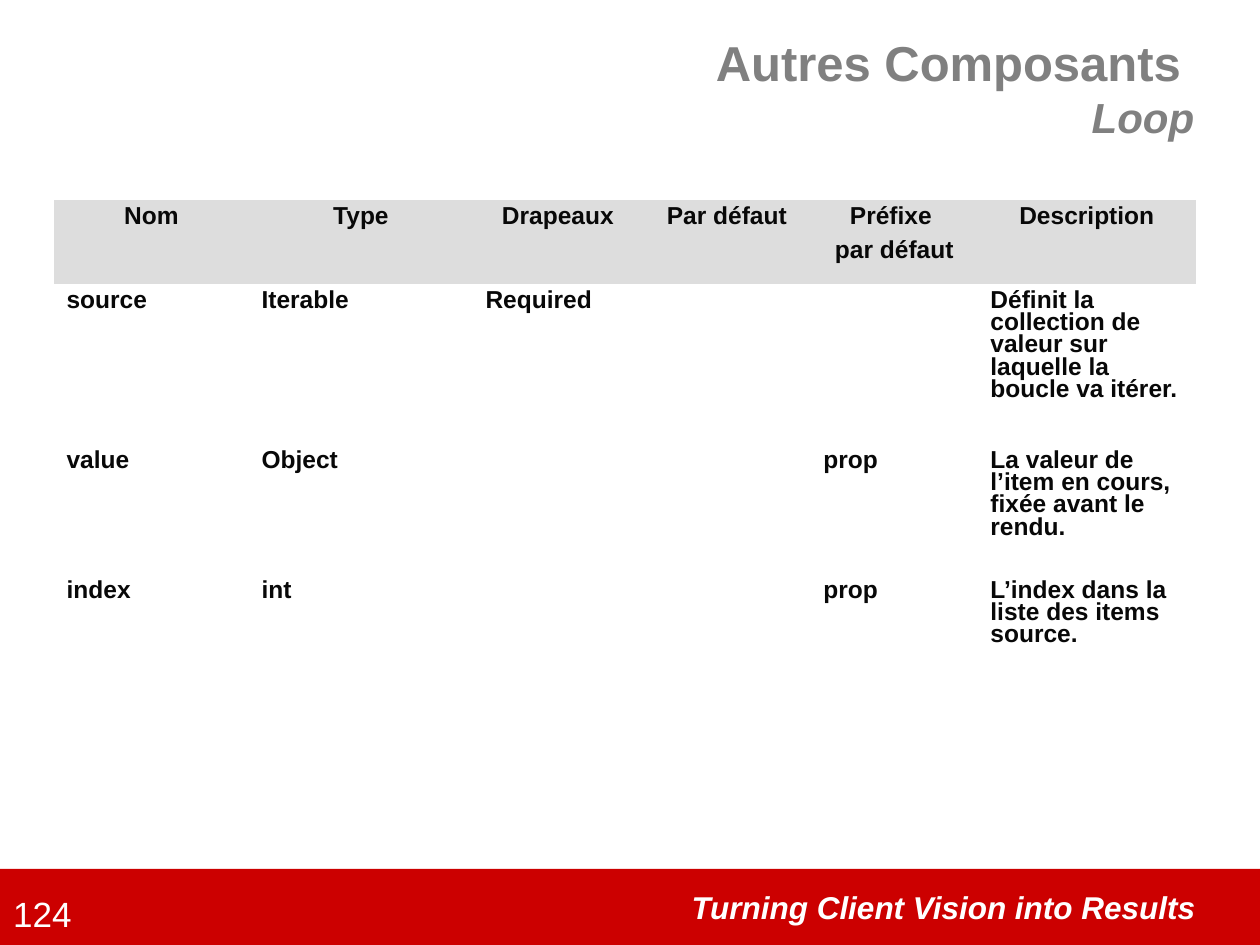
import pptx
import pptx.util
import pptx.dml.color
import pptx.enum.shapes
import pptx.enum.text

# Content
TITLE = "Autres Composants "
SUBTITLE = "Loop"
TAGLINE = "Turning Client Vision into Results"
PAGE_NUMBER = "124"
HEADER = ["Nom", "Type", "Drapeaux", "Par défaut", "Préfixe \npar défaut", "Description"]
ROWS = [
    ["source", "Iterable", "Required", "", "",
     "Définit la collection de valeur sur laquelle la boucle va itérer."],
    ["value", "Object", "", "", "prop",
     "La valeur de l’item en cours, fixée avant le rendu."],
    ["index", "int", "", "", "prop", "L’index dans la liste des items source."],
]

# Layout in px, 126 to the inch
PX = 914400 // 126
PAGE_SIZE = (1260, 945)
TITLE_AREA = (388, 0, 819, 175)
BAND_AREA = (0, 869, 1260, 76)
TAGLINE_AREA = (651, 882, 557, 63)
NUMBER_AREA = (-10, 886, 94, 59)
TABLE_ORIGIN = (54, 200)
COLUMN_WIDTHS = [195, 224, 170, 168, 167, 218]
ROW_HEIGHTS = [84, 160, 130, 100]
NO_TABLE_STYLE = "{2D5ABB26-0587-4C30-8999-92F81FD0307C}"

ALIGN = pptx.enum.text.PP_ALIGN
ANCHOR = pptx.enum.text.MSO_ANCHOR
THEME = {
    "font": "Arial",
    "band": "CC0000",
    "header": "DDDDDD",
    "title": {"size": 28, "bold": True, "color": "808080"},
    "subtitle": {"size": 24, "bold": True, "italic": True, "color": "808080"},
    "tagline": {"size": 18, "bold": True, "italic": True, "color": "FFFFFF"},
    "number": {"size": 20, "color": "FFFFFF"},
    "cell": {"size": 14, "bold": True, "color": "080808"},
}
CELL_SPACING = {
    "line_spacing": 0.81,
    "space_before": pptx.util.Pt(3.5),
    "space_after": pptx.util.Pt(3.5),
}


def color(code):
    return pptx.dml.color.RGBColor.from_string(code)


def emu(lengths):
    return [length * PX for length in lengths]


def set_values(target, values):
    for name, value in values.items():
        setattr(target, name, value)


def add_span(para, text, style):
    span = para.add_run()
    span.text = text
    span.font.name = THEME["font"]
    span.font.size = pptx.util.Pt(style["size"])
    span.font.bold = style.get("bold", False)
    span.font.italic = style.get("italic", False)
    span.font.color.rgb = color(style["color"])


def add_label(page, area, text, style):
    box = page.shapes.add_textbox(*emu(area))
    box.text_frame.word_wrap = True
    para = box.text_frame.paragraphs[0]
    para.alignment = ALIGN.RIGHT
    add_span(para, text, style)


def fill_cell(cell, text, alignment):
    for number, line in enumerate(text.split("\n")):
        frame = cell.text_frame
        para = frame.add_paragraph() if number else frame.paragraphs[0]
        set_values(para, {"alignment": alignment, **CELL_SPACING})
        if line:
            add_span(para, line, THEME["cell"])


def add_title(page):
    title = page.shapes.title
    set_values(title, dict(zip(("left", "top", "width", "height"), emu(TITLE_AREA))))
    set_values(title.text_frame, {
        "word_wrap": True,
        "auto_size": pptx.enum.text.MSO_AUTO_SIZE.NONE,
        "vertical_anchor": ANCHOR.MIDDLE,
    })
    para = title.text_frame.paragraphs[0]
    para.alignment = ALIGN.RIGHT
    add_span(para, TITLE, THEME["title"])
    para.add_line_break()
    add_span(para, SUBTITLE, THEME["subtitle"])


def add_footer(page):
    band = page.shapes.add_shape(
        pptx.enum.shapes.MSO_SHAPE.RECTANGLE, *emu(BAND_AREA))
    band.shadow.inherit = False
    band.fill.solid()
    band.fill.fore_color.rgb = color(THEME["band"])
    band.line.fill.background()
    add_label(page, TAGLINE_AREA, TAGLINE, THEME["tagline"])
    add_label(page, NUMBER_AREA, PAGE_NUMBER, THEME["number"])


def add_parameters(page):
    size = (sum(COLUMN_WIDTHS), sum(ROW_HEIGHTS))
    holder = page.shapes.add_table(
        len(ROW_HEIGHTS), len(COLUMN_WIDTHS), *emu(TABLE_ORIGIN + size))
    table = holder.table
    for style_id in holder.element.iter("{*}tableStyleId"):
        style_id.text = NO_TABLE_STYLE
    for column, width in zip(table.columns, emu(COLUMN_WIDTHS)):
        column.width = width
    for row, height in zip(table.rows, emu(ROW_HEIGHTS)):
        row.height = height
    for r, texts in enumerate([HEADER] + ROWS):
        for c, text in enumerate(texts):
            cell = table.cell(r, c)
            fill_cell(cell, text, ALIGN.LEFT if r else ALIGN.CENTER)
            if r:
                cell.fill.background()
            else:
                cell.fill.solid()
                cell.fill.fore_color.rgb = color(THEME["header"])


def main():
    deck = pptx.Presentation()
    deck.slide_width, deck.slide_height = emu(PAGE_SIZE)
    page = deck.slides.add_slide(deck.slide_layouts.get_by_name("Title Only"))
    add_footer(page)
    add_title(page)
    add_parameters(page)
    deck.save("out.pptx")


if __name__ == "__main__":
    main()
